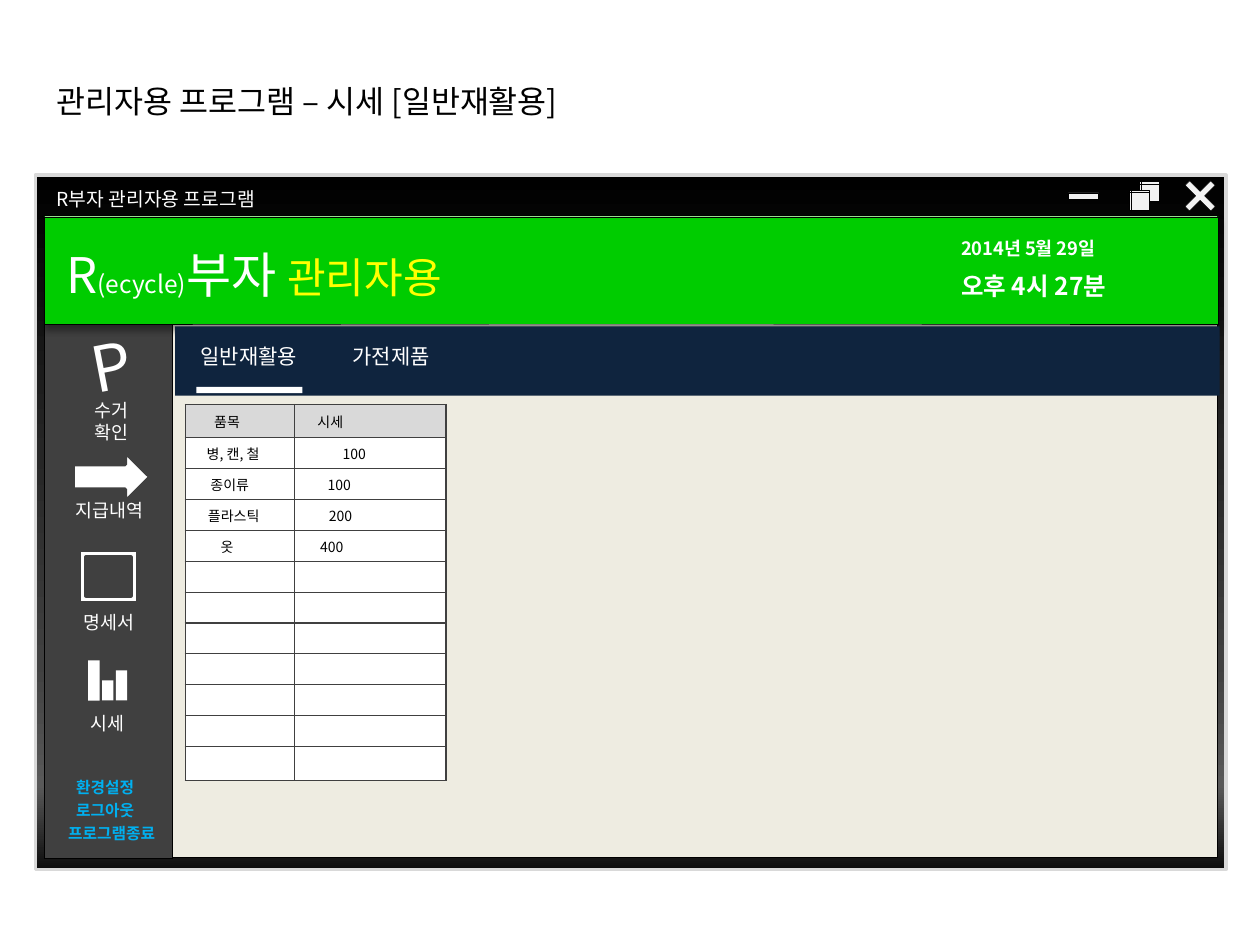
from lxml import etree
from pptx import Presentation
from pptx.dml.color import RGBColor
from pptx.enum.shapes import MSO_SHAPE as Shape
from pptx.enum.text import MSO_ANCHOR as Anchor, MSO_AUTO_SIZE as AutoSize, PP_ALIGN as Align
from pptx.oxml.ns import qn
from pptx.util import Inches, Pt

FONT = "Noto Sans CJK KR"
COLORS = {
    "black": "000000", "white": "FFFFFF", "light": "F2F2F2", "silver": "D9D9D9",
    "cream": "EEECE1", "dark": "404040", "edge": "808080", "green": "00CC00",
    "yellow": "FFFF00", "blue": "00B0F0", "navy": "0F243E",
}
FRAME_STOPS = [(0, "000000"), (40, "262626"), (70, "404040"), (88, "595959"), (100, "0D0D0D")]
PRICES = [
    ("품목", 0.23, "시세", 0.18),
    ("병, 캔, 철", 0.17, "100", 0.38),
    ("종이류", 0.2, "100", 0.26),
    ("플라스틱", 0.18, "200", 0.27),
    ("옷", 0.28, "400", 0.2),
] + [("", 0, "", 0)] * 7


class Painter:
    """Holds the style and the current page, and draws each kind of element."""

    def __init__(self, page):
        self.page = page

    def color(self, name):
        return RGBColor.from_string(COLORS[name])

    def shape(self, kind, at, fill, line=None, width=0.25):
        shape = self.page.shapes.add_shape(kind, *map(Inches, at))
        shape.shadow.inherit = False
        shape.fill.solid()
        shape.fill.fore_color.rgb = self.color(fill)
        if line:
            shape.line.color.rgb = self.color(line)
            shape.line.width = Pt(width)
        else:
            shape.line.fill.background()
        return shape

    def gradient(self, shape, stops):
        shape.fill.gradient()
        shape.fill.gradient_angle = 270
        stop_list = shape._element.spPr.find(".//" + qn("a:gsLst"))
        for stop in list(stop_list):
            stop_list.remove(stop)
        for position, value in stops:
            stop = etree.SubElement(stop_list, qn("a:gs"), pos=str(position * 1000))
            etree.SubElement(stop, qn("a:srgbClr"), val=value)

    def shadow(self, shape):
        effects = shape._element.spPr.find(qn("a:effectLst"))
        shadow = etree.SubElement(effects, qn("a:outerShdw"), blurRad=str(Pt(4)),
                                  dist=str(Pt(3)), dir="5400000", rotWithShape="0")
        color = etree.SubElement(shadow, qn("a:srgbClr"), val=COLORS["black"])
        etree.SubElement(color, qn("a:alpha"), val="40000")

    def span(self, para, text, size, color="white", bold=False):
        span = para.add_run()
        span.text = text
        font = span.font
        font.name, font.size, font.bold = FONT, Pt(size), bold
        font.color.rgb = self.color(color)
        etree.SubElement(span._r.get_or_add_rPr(), qn("a:ea"), typeface=FONT)

    def text(self, at, paras, align=Align.LEFT, gap=0, rotation=0):
        box = self.page.shapes.add_textbox(*map(Inches, at))
        box.rotation = rotation
        frame = box.text_frame
        frame.word_wrap = True
        frame.auto_size = AutoSize.SHAPE_TO_FIT_TEXT
        for index, spans in enumerate(paras):
            para = frame.add_paragraph() if index else frame.paragraphs[0]
            para.alignment = align
            if index and gap:
                para.space_before = Pt(gap)
            for span in spans:
                self.span(para, *span)

    def label(self, at, *lines, size=10.5, color="white", bold=False):
        self.text(at, [[(line, size, color, bold)] for line in lines], Align.CENTER)

    def cell(self, cell, text, indent, fill):
        cell.margin_left = Inches(indent)
        cell.margin_right = cell.margin_top = cell.margin_bottom = 0
        cell.vertical_anchor = Anchor.MIDDLE
        cell.fill.solid()
        cell.fill.fore_color.rgb = self.color(fill)
        para = cell.text_frame.paragraphs[0]
        if text:
            self.span(para, text, 8, "black")
        else:
            etree.SubElement(para._p, qn("a:endParaRPr"), sz="800")
        properties = cell._tc.get_or_add_tcPr()
        for index, side in enumerate(("a:lnL", "a:lnR", "a:lnT", "a:lnB")):
            border = etree.Element(qn(side), w=str(Pt(0.75)))
            solid = etree.SubElement(border, qn("a:solidFill"))
            etree.SubElement(solid, qn("a:srgbClr"), val=COLORS["dark"])
            properties.insert(index, border)

    def table(self, at, widths, heights, rows):
        table = self.page.shapes.add_table(len(rows), len(widths), *map(Inches, at)).table
        table.first_row = table.horz_banding = False
        for column, width in zip(table.columns, widths):
            column.width = Inches(width)
        for index, (item, item_indent, price, price_indent) in enumerate(rows):
            table.rows[index].height = Inches(heights[index])
            fill = "white" if index else "silver"
            self.cell(table.cell(index, 0), item, item_indent, fill)
            self.cell(table.cell(index, 1), price, price_indent, fill)


def draw_window(painter):
    """Draw the title, the window frame and the green banner."""
    painter.text((0.35, 0.6, 5.12, 0.4), [[("관리자용 프로그램 – 시세 [일반재활용]", 18, "black")]])
    frame = painter.shape(Shape.RECTANGLE, (0.28, 1.39, 9.45, 5.51), "black", "silver", 2)
    painter.gradient(frame, FRAME_STOPS)
    painter.shape(Shape.RECTANGLE, (0.35, 1.71, 9.31, 5.1), "cream", "black", 0.5)
    painter.shape(Shape.RECTANGLE, (8.48, 1.53, 0.24, 0.05), "light", "black")
    for left, top in ((9.04, 1.44), (8.96, 1.51)):
        painter.shape(Shape.FLOWCHART_INTERNAL_STORAGE, (left, top, 0.16, 0.16), "light", "black")
    close = painter.shape(Shape.MATH_MULTIPLY, (9.33, 1.36, 0.39, 0.39), "light", "black")
    close.adjustments[0] = 0.128
    painter.text((0.35, 1.44, 3.15, 0.29), [[("R부자 관리자용 프로그램", 11)]])
    painter.shape(Shape.RECTANGLE, (0.35, 2.57, 1.02, 4.24), "dark", "black")
    banner = painter.shape(Shape.RECTANGLE, (0.35, 1.72, 9.32, 0.85), "green", "black")
    painter.shadow(banner)
    painter.text((0.43, 1.89, 5.04, 0.57), [[
        ("R", 28), ("(ecycle)", 14), ("부자 ", 28), ("관리자용", 24, "yellow")]])
    painter.text((7.53, 1.83, 1.61, 0.61), [
        [("2014년 5월 29일", 10.5, "white", True)],
        [("오후 4시 27분", 14, "white", True)]], gap=7)


def draw_sidebar(painter):
    """Draw the menu icons, their labels and the links."""
    for index, link in enumerate(("환경설정", "로그아웃", "프로그램종료")):
        left, width = (0.35, 1.07) if index == 2 else (0.47, 0.73)
        painter.label((left, 6.12 + 0.185 * index, width, 0.25), link,
                      size=9, color="blue", bold=True)
    painter.text((0.63, 2.54, 0.58, 0.71), [[("P", 36)]], rotation=349)
    painter.label((0.53, 3.12, 0.71, 0.45), "수거", "확인")
    painter.shape(Shape.STRIPED_RIGHT_ARROW, (0.52, 3.59, 0.67, 0.39), "white", "dark", 2)
    painter.label((0.4, 3.91, 0.94, 0.28), "지급내역")
    painter.shape(Shape.FRAME, (0.63, 4.37, 0.46, 0.41), "white", "dark", 2)
    painter.label((0.51, 4.8, 0.71, 0.28), "명세서")
    for index, height in enumerate((0.32, 0.16, 0.24)):
        painter.shape(Shape.RECTANGLE, (0.7 + 0.11 * index, 5.56 - height, 0.09, height), "white")
    painter.label((0.5, 5.6, 0.71, 0.28), "시세")


def draw_prices(painter):
    """Draw the tab bar and the price table."""
    painter.shape(Shape.RECTANGLE, (1.39, 2.59, 8.29, 0.55), "navy")
    for left, tab in ((1.42, "일반재활용"), (2.55, "가전제품")):
        painter.label((left, 2.68, 1.11, 0.3), tab, size=12)
    painter.shape(Shape.RECTANGLE, (1.56, 3.07, 0.84, 0.05), "white")
    heights = [0.26, 0.25] + [0.245] * 9 + [0.27]
    painter.table((1.47, 3.21, 2.07, 2.98), (0.87, 1.2), heights, PRICES)


def main():
    """Build the deck and save it."""
    deck = Presentation()
    deck.slide_width, deck.slide_height = Inches(10), Inches(7.5)
    painter = Painter(deck.slides.add_slide(deck.slide_layouts[6]))
    draw_window(painter)
    draw_sidebar(painter)
    draw_prices(painter)
    deck.save("out.pptx")


if __name__ == "__main__":
    main()
